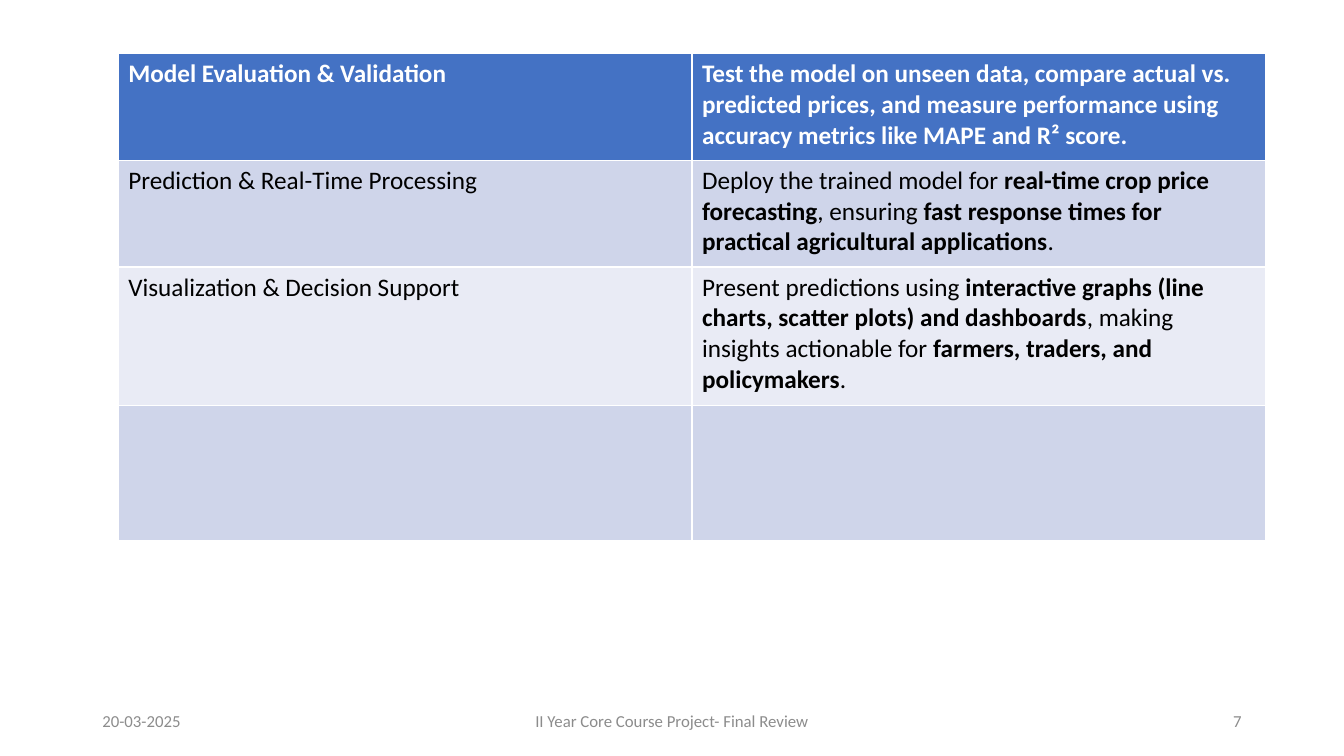
from pptx import Presentation
from pptx.dml.color import RGBColor
from pptx.enum.text import MSO_ANCHOR, PP_ALIGN
from pptx.util import Cm, Pt

MIDDLE = MSO_ANCHOR.MIDDLE
LEFT, CENTER, RIGHT = PP_ALIGN.LEFT, PP_ALIGN.CENTER, PP_ALIGN.RIGHT

WHITE = RGBColor(0xFF, 0xFF, 0xFF)
BLACK = RGBColor(0x00, 0x00, 0x00)
GRAY = RGBColor(0x8C, 0x8C, 0x8C)
HEADER_BLUE = RGBColor(0x44, 0x72, 0xC4)
BAND_DARK = RGBColor(0xCF, 0xD5, 0xEA)
BAND_LIGHT = RGBColor(0xE9, 0xEB, 0xF5)

FONT = "Calibri"
BLANK_LAYOUT = 6

ROW_HEIGHTS = [2.69, 2.69, 3.48, 3.4]
STAGES = [
    (["Model Evaluation & Validation"],
     ["Test the model on unseen data, compare actual vs. predicted prices, "
      "and measure performance using accuracy metrics like MAPE and R² score."]),
    (["Prediction & Real-Time Processing"],
     ["Deploy the trained model for ", "real-time crop price forecasting",
      ", ensuring ",
      "fast response times for practical agricultural applications", "."]),
    (["Visualization & Decision Support"],
     ["Present predictions using ",
      "interactive graphs (line charts, scatter plots) and dashboards",
      ", making insights actionable for ",
      "farmers, traders, and policymakers", "."]),
    ([], []),
]
FOOTER_PARTS = [
    ("20-03-2025", 0, 7.62, LEFT),
    ("II Year Core Course Project- Final Review", 8.89, 11.43, CENTER),
    ("7", 21.59, 7.62, RIGHT),
]


def add_text(paragraph, text, size=18, color=BLACK, bold=False):
    run = paragraph.add_run()
    run.text = text
    run.font.name = FONT
    run.font.size = Pt(size)
    run.font.color.rgb = color
    run.font.bold = bold


def add_stage_table(slide, left, top, width):
    frame = slide.shapes.add_table(
        len(STAGES), 2, Cm(left), Cm(top), Cm(width), Cm(sum(ROW_HEIGHTS)))
    table = frame.table
    for row_index, (height, stage) in enumerate(zip(ROW_HEIGHTS, STAGES)):
        table.rows[row_index].height = Cm(height)
        is_header = row_index == 0
        band = BAND_DARK if row_index % 2 else BAND_LIGHT
        for column_index, segments in enumerate(stage):
            cell = table.cell(row_index, column_index)
            cell.fill.solid()
            cell.fill.fore_color.rgb = HEADER_BLUE if is_header else band
            paragraph = cell.text_frame.paragraphs[0]
            for segment_index, segment in enumerate(segments):
                add_text(paragraph, segment,
                         color=WHITE if is_header else BLACK,
                         bold=is_header or segment_index % 2 == 1)


def add_footer(slide, left, top, height):
    for text, offset, width, alignment in FOOTER_PARTS:
        box = slide.shapes.add_textbox(
            Cm(left + offset), Cm(top), Cm(width), Cm(height))
        box.text_frame.word_wrap = True
        box.text_frame.vertical_anchor = MIDDLE
        paragraph = box.text_frame.paragraphs[0]
        paragraph.alignment = alignment
        add_text(paragraph, text, size=12, color=GRAY)


def main():
    presentation = Presentation()
    presentation.slide_width = Cm(33.87)
    presentation.slide_height = Cm(19.05)
    slide = presentation.slides.add_slide(
        presentation.slide_layouts[BLANK_LAYOUT])
    add_footer(slide, left=2.33, top=17.66, height=1.01)
    add_stage_table(slide, left=2.98, top=1.35, width=28.92)
    presentation.save("out.pptx")


if __name__ == "__main__":
    main()
